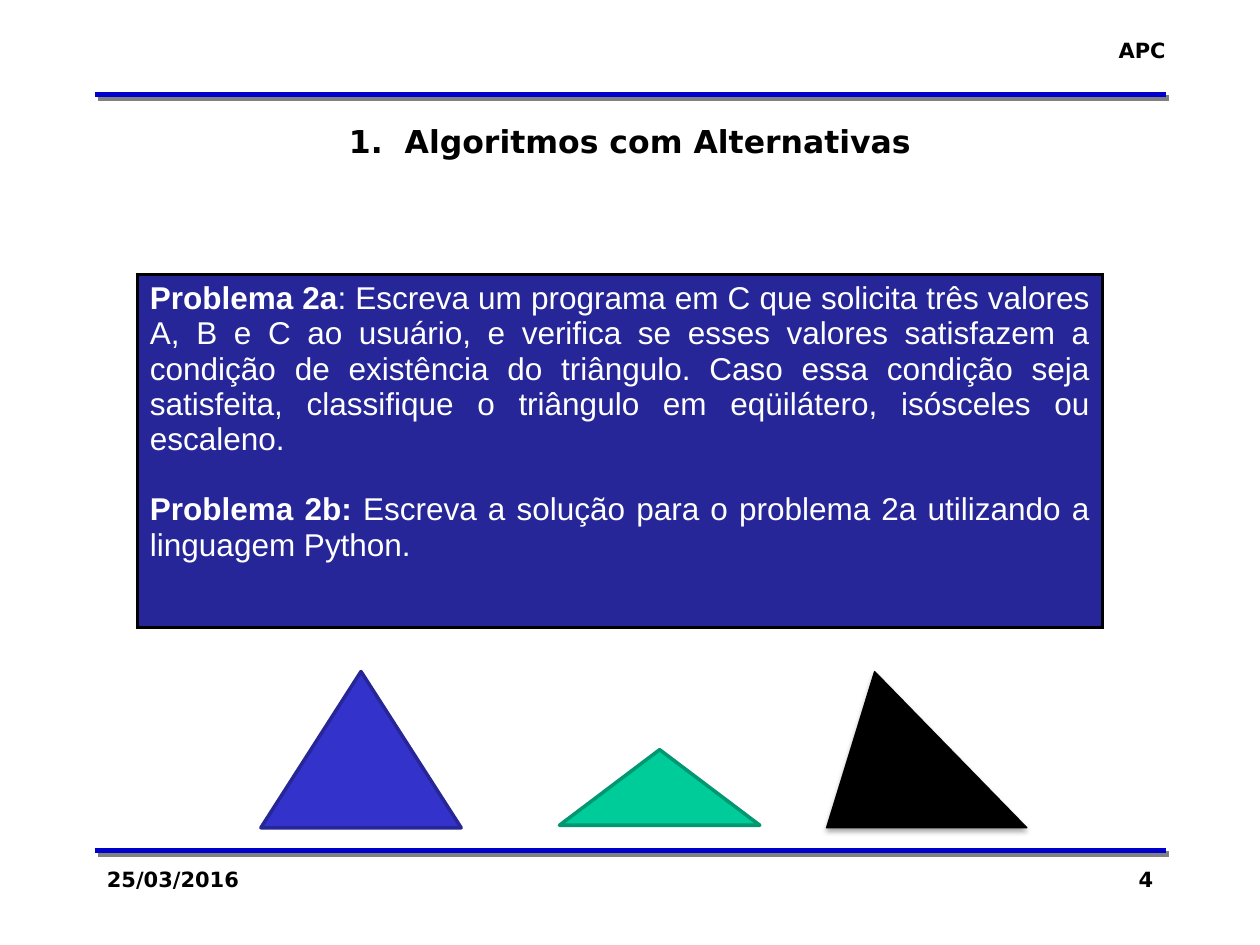
from lxml import etree
from pptx import Presentation
from pptx.dml.color import RGBColor
from pptx.enum.shapes import MSO_CONNECTOR, MSO_SHAPE
from pptx.enum.text import PP_ALIGN
from pptx.oxml import parse_xml
from pptx.oxml.ns import nsdecls, qn
from pptx.util import Inches, Pt

BLACK = RGBColor(0x00, 0x00, 0x00)
WHITE = RGBColor(0xFF, 0xFF, 0xFF)
GREY = RGBColor(0x80, 0x80, 0x80)
RULE_BLUE = RGBColor(0x00, 0x00, 0xCC)
PANEL_BLUE = RGBColor(0x26, 0x26, 0x99)
BLUE = RGBColor(0x33, 0x33, 0xCC)
BLUE_EDGE = RGBColor(0x26, 0x26, 0x97)
GREEN = RGBColor(0x00, 0xCC, 0x99)
GREEN_EDGE = RGBColor(0x00, 0x97, 0x71)

LEFT, WIDTH = 0.75, 8.5
PROBLEMS = [
    ("Problema 2a",
     ": Escreva um programa em C que solicita três valores A, B e C ao usuário, "
     "e verifica se esses valores satisfazem a condição de existência do triângulo. "
     "Caso essa condição seja satisfeita, classifique o triângulo em eqüilátero, "
     "isósceles ou escaleno."),
    ("Problema 2b: ",
     "Escreva a solução para o problema 2a utilizando a linguagem Python."),
]


def format_run(r, font, size, color, bold):
    r.font.name = font
    r.font.size = Pt(size)
    r.font.color.rgb = color
    r.font.bold = bold


def add_shadow(sp, color, alpha, blur, dist, angle):
    """Outer shadow: alpha in percent, blur and dist in points, angle in degrees."""
    sp_pr = sp._element.spPr
    for old in sp_pr.findall(qn("a:effectLst")):
        sp_pr.remove(old)
    sp_pr.append(parse_xml(
        f'<a:effectLst {nsdecls("a")}><a:outerShdw blurRad="{Pt(blur)}" '
        f'dist="{Pt(dist)}" dir="{angle * 60000}" algn="ctr" rotWithShape="0">'
        f'<a:srgbClr val="{color}"><a:alpha val="{alpha * 1000}"/></a:srgbClr>'
        f'</a:outerShdw></a:effectLst>'))


def add_rule(s, x, y, w):
    line = s.shapes.add_connector(MSO_CONNECTOR.STRAIGHT, Inches(x), Inches(y),
                                  Inches(x + w), Inches(y))
    line.line.color.rgb = RULE_BLUE
    line.line.width = Pt(3)
    add_shadow(line, GREY, 100, 0, 2.8, 45)


def add_label(s, text, x, y, w, h, size=12, align=PP_ALIGN.LEFT, wrap=True):
    tf = s.shapes.add_textbox(Inches(x), Inches(y), Inches(w), Inches(h)).text_frame
    tf.word_wrap = wrap
    tf.text = text
    p = tf.paragraphs[0]
    p.alignment = align
    format_run(p.runs[0], "DejaVu Sans", size, BLACK, True)


def set_borders(cell, color, width):
    tc_pr = cell._tc.get_or_add_tcPr()
    for i, side in enumerate(("lnL", "lnR", "lnT", "lnB")):
        ln = parse_xml(
            f'<a:{side} {nsdecls("a")} w="{Pt(width)}"><a:solidFill>'
            f'<a:srgbClr val="{color}"/></a:solidFill></a:{side}>')
        tc_pr.insert(i, ln)


def add_problem_panel(s, x, y, w, h):
    table = s.shapes.add_table(1, 1, Inches(x), Inches(y), Inches(w), Inches(h)).table
    table.first_row = table.horz_banding = False
    cell = table.cell(0, 0)
    cell.fill.solid()
    cell.fill.fore_color.rgb = PANEL_BLUE
    set_borders(cell, BLACK, 2.25)
    tf = cell.text_frame
    for i, parts in enumerate(PROBLEMS):
        p = tf.add_paragraph() if i else tf.paragraphs[0]
        p.alignment = PP_ALIGN.JUSTIFY
        if i:
            p.space_before = Pt(20)
        for text, bold in zip(parts, (True, False)):
            r = p.add_run()
            r.text = text
            format_run(r, "Arial", 18, WHITE, bold)


def add_triangle(s, x, y, w, h, fill, edge, edge_width, apex=0.5):
    sp = s.shapes.add_shape(MSO_SHAPE.ISOSCELES_TRIANGLE, Inches(x), Inches(y),
                            Inches(w), Inches(h))
    sp.adjustments[0] = apex
    sp.shadow.inherit = False
    sp.fill.solid()
    sp.fill.fore_color.rgb = fill
    sp.line.color.rgb = edge
    sp.line.width = Pt(edge_width)
    etree.SubElement(sp.line._get_or_add_ln(), qn("a:round"))
    return sp


def add_triangles(s, y, w, h):
    add_triangle(s, 2.07, y, w, h, BLUE, BLUE_EDGE, 2)
    add_triangle(s, 4.44, 5.95, w, 0.6, GREEN, GREEN_EDGE, 2)
    scalene = add_triangle(s, 6.56, y, w, h, BLACK, BLACK, 0.75, apex=0.24)
    add_shadow(scalene, BLACK, 35, 3.1, 1.8, 90)


def add_frame(s, x, w):
    """Rules, course name, date and slide number."""
    for y in (6.75, 0.75):
        add_rule(s, x, y, w)
    add_label(s, "APC", 8.77, 0.25, 0.58, 0.3, align=PP_ALIGN.RIGHT, wrap=False)
    footer_w = 2.08
    add_label(s, "25/03/2016", x, 6.83, footer_w, 0.5)
    add_label(s, "4", x + w - footer_w, 6.83, footer_w, 0.5, align=PP_ALIGN.RIGHT)


def main():
    prs = Presentation()
    prs.slide_width, prs.slide_height = Inches(10), Inches(7.5)
    s = prs.slides.add_slide(prs.slide_layouts[6])
    add_frame(s, LEFT, WIDTH)
    add_label(s, "1.  Algoritmos com Alternativas", LEFT, 0.92, WIDTH, 0.4,
              size=18, align=PP_ALIGN.CENTER)
    add_problem_panel(s, 1.09, 2.18, 7.66, 2.8)
    add_triangles(s, 5.33, 1.59, 1.24)
    prs.save("out.pptx")


if __name__ == "__main__":
    main()
